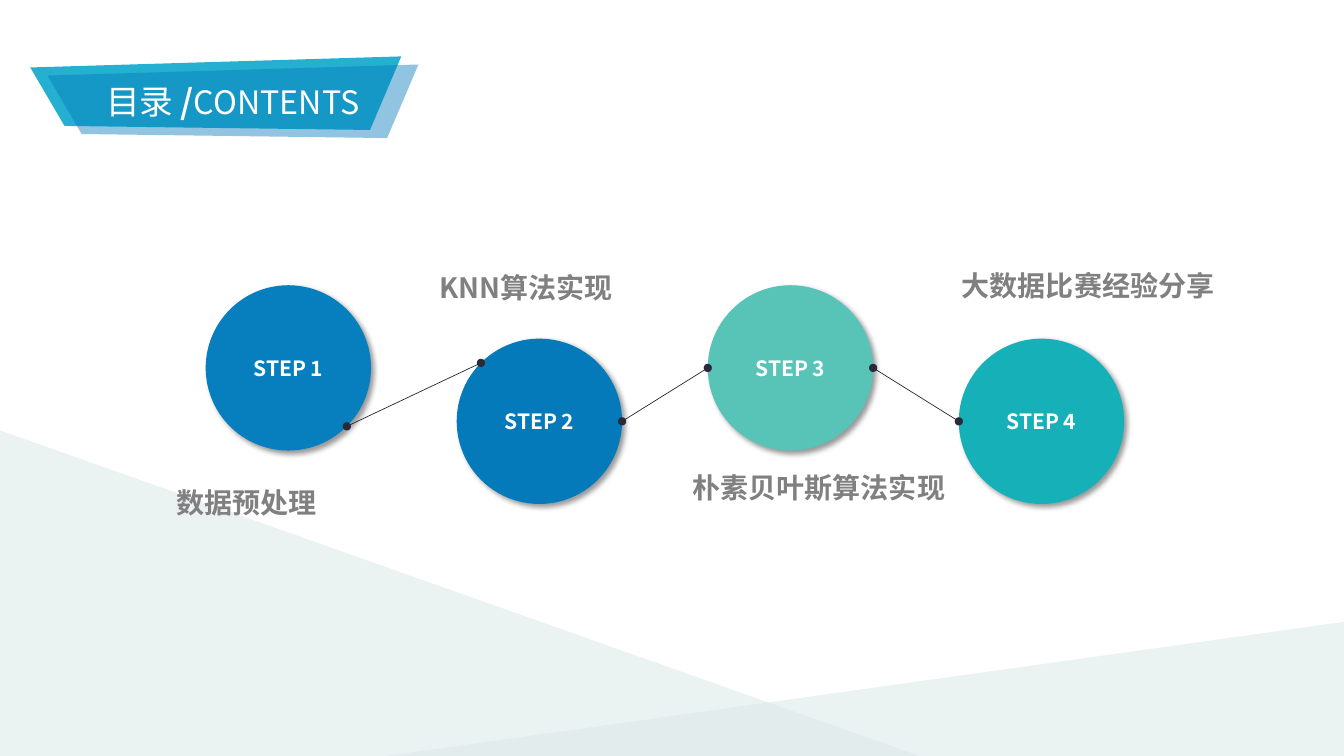
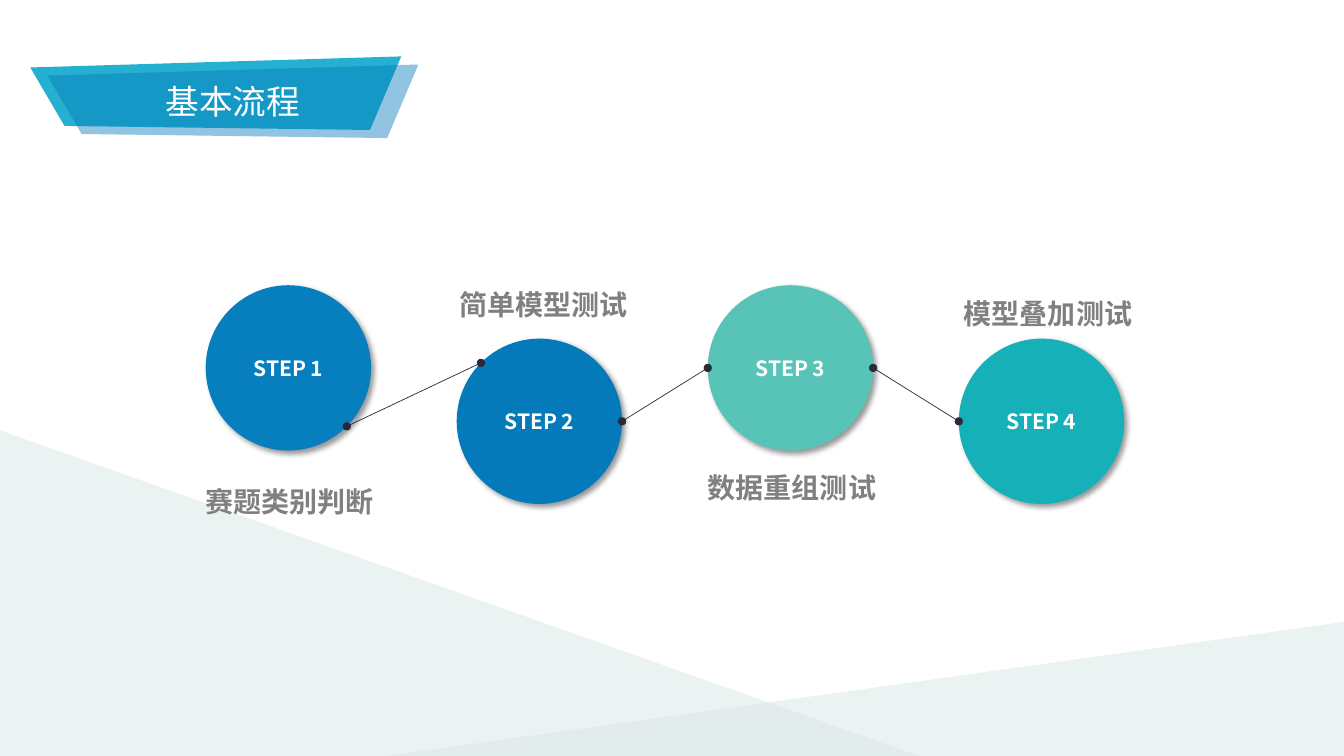
from math import cos, radians, sin

from lxml.etree import SubElement
from pptx import Presentation
from pptx.dml.color import RGBColor
from pptx.enum.shapes import MSO_CONNECTOR, MSO_SHAPE
from pptx.enum.text import MSO_ANCHOR, MSO_AUTO_SIZE, PP_ALIGN
from pptx.oxml.ns import qn
from pptx.util import Inches, Pt

FONT = "Noto Sans CJK SC"
WHITE = RGBColor(0xFF, 0xFF, 0xFF)
PALE = RGBColor(0xDD, 0xE9, 0xE8)
CYAN = RGBColor(0x25, 0xB0, 0xD2)
BLUE = RGBColor(0x04, 0x7A, 0xBA)
GREY = RGBColor(0x80, 0x80, 0x80)
DARK = RGBColor(0x2B, 0x29, 0x39)
STEP_COLOURS = [RGBColor(0x07, 0x7F, 0xBF), BLUE,
                RGBColor(0x58, 0xC4, 0xB8), RGBColor(0x15, 0xB0, 0xB8)]

SLIDES = [
    {
        "title": [("目录 ", 24, False), ("/", 24, True), ("CONTENTS", 23, False)],
        "captions": [
            ("数据预处理", 1.75, 4.82, 2.67),
            ("KNN算法实现", 4.36, 2.68, 2.67),
            ("朴素贝叶斯算法实现", 6.87, 4.67, 2.67),
            ("大数据比赛经验分享", 9.54, 2.66, 3.16),
        ],
    },
    {
        "title": [("基本流程", 24, False)],
        "captions": [
            ("赛题类别判断", 2.04, 4.81, 2.67),
            ("简单模型测试", 4.56, 2.85, 2.67),
            ("数据重组测试", 7.02, 4.67, 2.67),
            ("模型叠加测试", 9.56, 2.94, 3.16),
        ],
    },
]

RIBBON = [(0.3, 0.67), (0.64, 1.25), (3.67, 1.29), (3.98, 0.56)]
RIBBON_SHIFT = (0.17, 0.08)
DIAMETER = 1.64
STEP_LEFT, STEP_PITCH = 2.04, 2.49
STEP_TOPS = (2.83, 3.36)
LINK_ANGLES = [(45, 225), (0, 180), (0, 180)]


def add_run(paragraph, text, size, colour, bold):
    run = paragraph.add_run()
    run.text = text
    run.font.size = Pt(size)
    run.font.bold = bold
    run.font.name = FONT
    run.font.color.rgb = colour
    SubElement(run.font._element, qn("a:ea"), typeface=FONT)


def style_shape(shape, colour, opacity=100):
    shape.shadow.inherit = False
    shape.line.fill.background()
    shape.fill.solid()
    shape.fill.fore_color.rgb = colour
    if opacity < 100:
        fill_colour = shape.element.spPr.find(f"{qn('a:solidFill')}/{qn('a:srgbClr')}")
        SubElement(fill_colour, qn("a:alpha"), val=str(opacity * 1000))


def add_drop_shadow(shape):
    effects = shape.element.spPr.find(qn("a:effectLst"))
    shadow = SubElement(effects, qn("a:outerShdw"), blurRad=str(Pt(4)), dist=str(Pt(3)),
                        dir=str(45 * 60000), algn="tl", rotWithShape="0")
    colour = SubElement(shadow, qn("a:srgbClr"), val="000000")
    SubElement(colour, qn("a:alpha"), val="40000")


def centre_text(shape):
    frame = shape.text_frame
    frame.vertical_anchor = MSO_ANCHOR.MIDDLE
    frame.paragraphs[0].alignment = PP_ALIGN.CENTER
    return frame


def add_background(slide):
    for left, top, width, height, mirrored in [(3.83, 6.16, 9.57, 1.34, True),
                                               (0, 4.27, 9.12, 3.23, False)]:
        triangle = slide.shapes.add_shape(MSO_SHAPE.RIGHT_TRIANGLE, Inches(left), Inches(top),
                                          Inches(width), Inches(height))
        style_shape(triangle, PALE, 56)
        if mirrored:
            triangle.element.spPr.find(qn("a:xfrm")).set("flipH", "1")


def add_ribbon(shapes, shift, colour, opacity):
    points = [(Inches(x + shift[0]), Inches(y + shift[1])) for x, y in RIBBON]
    builder = shapes.build_freeform(*points[0])
    builder.add_line_segments(points[1:], close=True)
    ribbon = builder.convert_to_shape()
    style_shape(ribbon, colour, opacity)
    return ribbon


def add_title(slide, runs):
    group = slide.shapes.add_group_shape()
    add_ribbon(group.shapes, (0, 0), CYAN, 100)
    front = add_ribbon(group.shapes, RIBBON_SHIFT, BLUE, 44)
    paragraph = centre_text(front).paragraphs[0]
    for text, size, bold in runs:
        add_run(paragraph, text, size, WHITE, bold)


def step_position(index):
    return STEP_LEFT + index * STEP_PITCH, STEP_TOPS[index % 2]


def rim_point(index, angle):
    left, top = step_position(index)
    radius = DIAMETER / 2
    return (Inches(left + radius + radius * cos(radians(angle))),
            Inches(top + radius + radius * sin(radians(angle))))


def add_steps(slide):
    for index, colour in enumerate(STEP_COLOURS):
        left, top = step_position(index)
        circle = slide.shapes.add_shape(MSO_SHAPE.OVAL, Inches(left), Inches(top),
                                        Inches(DIAMETER), Inches(DIAMETER))
        style_shape(circle, colour)
        add_drop_shadow(circle)
        frame = centre_text(circle)
        frame.margin_left = frame.margin_right = Inches(0.07)
        frame.margin_top = frame.margin_bottom = Inches(0.04)
        add_run(frame.paragraphs[0], f"STEP {index + 1}", 15, WHITE, True)


def add_links(slide):
    for index, (start_angle, end_angle) in enumerate(LINK_ANGLES):
        link = slide.shapes.add_connector(MSO_CONNECTOR.STRAIGHT,
                                          *rim_point(index, start_angle),
                                          *rim_point(index + 1, end_angle))
        link.line.color.rgb = DARK
        link.line.width = Pt(0.5)
        properties = link.element.spPr
        for end in ("a:headEnd", "a:tailEnd"):
            SubElement(properties.find(qn("a:ln")), qn(end), type="oval")
        SubElement(properties, qn("a:effectLst"))


def add_caption(slide, text, left, top, width):
    caption = slide.shapes.add_textbox(Inches(left), Inches(top), Inches(width), Inches(0.34))
    frame = caption.text_frame
    frame.word_wrap = True
    frame.auto_size = MSO_AUTO_SIZE.SHAPE_TO_FIT_TEXT
    frame.margin_left = frame.margin_right = frame.margin_top = frame.margin_bottom = 0
    add_run(frame.paragraphs[0], text, 20, GREY, True)


def main():
    presentation = Presentation()
    presentation.slide_width = Inches(13.33)
    presentation.slide_height = Inches(7.5)
    for content in SLIDES:
        slide = presentation.slides.add_slide(presentation.slide_layouts[6])
        add_background(slide)
        add_title(slide, content["title"])
        add_steps(slide)
        add_links(slide)
        for caption in content["captions"]:
            add_caption(slide, *caption)
    presentation.save("out.pptx")


if __name__ == "__main__":
    main()
